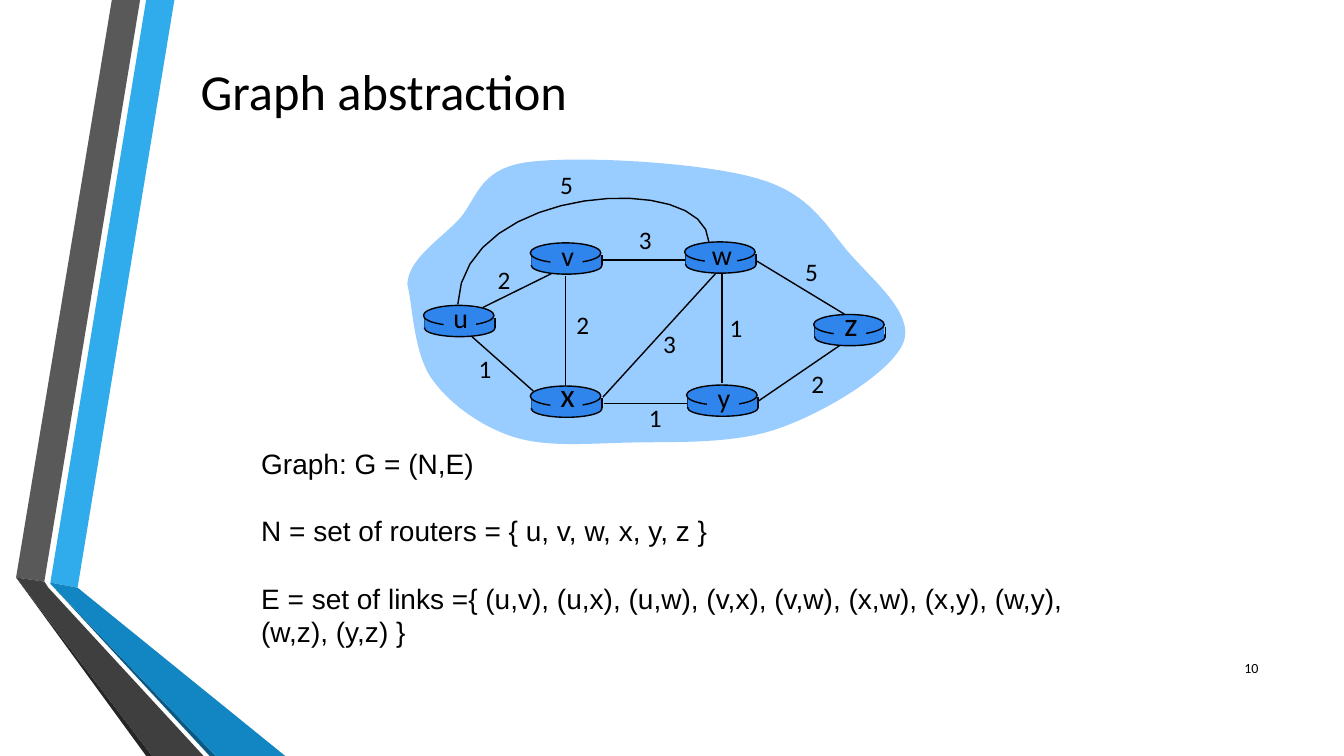
import pptx
import pptx.util
import pptx.dml.color
import pptx.enum.shapes
import pptx.enum.text
import pptx.oxml

CELL = pptx.util.Inches(0.1)
BLACK = pptx.dml.color.RGBColor(0x00, 0x00, 0x00)
CLOUD = pptx.dml.color.RGBColor(0x99, 0xCC, 0xFF)
ROUTER = pptx.dml.color.RGBColor(0x30, 0x85, 0xED)
SKY = pptx.dml.color.RGBColor(0x30, 0xAC, 0xEC)
OCEAN = pptx.dml.color.RGBColor(0x11, 0x86, 0xC3)
NAVY = pptx.dml.color.RGBColor(0x0B, 0x59, 0x82)
GREY = pptx.dml.color.RGBColor(0x59, 0x59, 0x59)
CHARCOAL = pptx.dml.color.RGBColor(0x3F, 0x3F, 0x3F)
COAL = pptx.dml.color.RGBColor(0x26, 0x26, 0x26)

OVAL = pptx.enum.shapes.MSO_SHAPE.OVAL
RECTANGLE = pptx.enum.shapes.MSO_SHAPE.RECTANGLE
ALIGN = pptx.enum.text.PP_ALIGN
ANCHOR = pptx.enum.text.MSO_ANCHOR

RIBBONS = [
    (SKY, [(5, 57.8), (7.7, 58.3), (17.3, 0), (14.5, 0)]),
    (GREY, [(13.9, 0), (11.1, 0), (1.6, 57.3), (4.4, 57.7)]),
    (COAL, [(1.6, 57.3), (14.5, 75), (15.1, 75)]),
    (NAVY, [(5, 57.9), (20.8, 75), (21.4, 75)]),
    (OCEAN, [(5, 57.9), (21.4, 75), (28.3, 75), (7.7, 58.3), (5, 57.8)]),
    (CHARCOAL, [(20.2, 75), (4.8, 58.3), (4.4, 57.7), (1.6, 57.3), (15.1, 75)]),
]
CLOUD_CURVE = [
    (40.4, 28.2), (40.5, 25.8), (43.3, 24), (45.3, 22), (47.3, 20), (47.3, 16.8),
    (52.2, 16.1), (57.2, 15.4), (69.7, 16.1), (75.1, 17.7), (80.5, 19.2), (82, 22.6),
    (84.4, 25.3), (86.8, 28), (90.7, 31.2), (89.6, 34), (88.4, 36.9), (82, 40.8),
    (77.5, 42.4), (73, 44.1), (67.1, 43.8), (62.6, 43.9), (58.2, 44), (54.1, 44.4),
    (50.8, 43.3), (47.5, 42.2), (44.4, 39.9), (42.7, 37.4), (41, 34.8), (40.9, 30.1),
    (40.4, 28.2),
]
ARC_CURVE = [(70.3, 24), (70.1, 16.9), (45.9, 18.2), (45.4, 30.2)]
LINKS = [
    (47.9, 30.5, 55.6, 26.7), (71.6, 27.2, 71.6, 38), (56.1, 27.4, 56.1, 38.4),
    (59.8, 39.4, 71.1, 27), (75.2, 39.8, 83.4, 34.2), (59.9, 40, 68.1, 40),
    (46.7, 33.3, 52.9, 38.8), (59.8, 25.8, 68, 25.8), (74.9, 25.8, 83.8, 31.2),
]
ROUTERS = [
    ("u", 42, 30.3, 20), ("x", 52.6, 38.3, 24), ("v", 52.6, 24.1, 20),
    ("w", 67.9, 24, 20), ("y", 68.1, 38.2, 20), ("z", 80.7, 31.2, 24),
]
COSTS = [
    ("2", 50, 27.7), ("2", 57.8, 32.2), ("1", 48.1, 36.6), ("3", 66.4, 34.1),
    ("1", 65, 41.4), ("1", 73, 32.5), ("2", 81.1, 38), ("5", 80.5, 26.9),
    ("3", 64, 23.8), ("5", 56.2, 18.3),
]
LIST = [
    "Graph: G = (N,E)",
    "N = set of routers = { u, v, w, x, y, z }",
    "E = set of links ={ (u,v), (u,x), (u,w), (v,x), (v,w), (x,w), (x,y), (w,y), (w,z), (y,z) }",
]


def grid(*cells):
    return [round(cell * CELL) for cell in cells]


def apply(target, values):
    for name, value in values.items():
        setattr(target, name, value)


def paint(shape, fill=None, outlined=False):
    shape.shadow.inherit = False
    if fill is None:
        shape.fill.background()
    else:
        shape.fill.solid()
        shape.fill.fore_color.rgb = fill
    if outlined:
        shape.line.color.rgb = BLACK
        shape.line.width = pptx.util.Pt(1)
    else:
        shape.line.fill.background()


def bezier(points, steps=16):
    curve = [points[0]]
    for start in range(0, len(points) - 1, 3):
        segment = points[start:start + 4]
        for step in range(1, steps + 1):
            t = step / steps
            weights = ((1 - t) ** 3, 3 * t * (1 - t) ** 2, 3 * t * t * (1 - t), t ** 3)
            curve.append(tuple(
                sum(weight * point[axis] for weight, point in zip(weights, segment))
                for axis in (0, 1)))
    return curve


def add_outline(shapes, points, fill=None):
    corners = [grid(*point) for point in points]
    builder = shapes.build_freeform(*corners[0])
    builder.add_line_segments(corners[1:], close=fill is not None)
    paint(builder.convert_to_shape(), fill, outlined=fill is None)


def add_preset(shapes, kind, cells, outlined=False):
    paint(shapes.add_shape(kind, *grid(*cells)), ROUTER, outlined)


def add_link(shapes, cells):
    straight = pptx.enum.shapes.MSO_CONNECTOR.STRAIGHT
    link = shapes.add_connector(straight, *grid(*cells))
    link.line.color.rgb = BLACK
    link.line.width = pptx.util.Pt(1)
    link._element.spPr.append(pptx.oxml.parse_xml(
        '<a:effectLst xmlns:a="http://schemas.openxmlformats.org/drawingml/2006/main"/>'))


def write(box, lines, size, align, anchor, font="Calibri", gap=0, side=0.1):
    frame = box.text_frame
    apply(frame, {
        "word_wrap": True,
        "auto_size": pptx.enum.text.MSO_AUTO_SIZE.NONE,
        "vertical_anchor": anchor,
        "margin_left": pptx.util.Inches(side),
        "margin_right": pptx.util.Inches(side),
        "margin_top": pptx.util.Inches(0.05),
        "margin_bottom": pptx.util.Inches(0.05),
    })
    for index, line in enumerate(lines):
        para = frame.paragraphs[0] if index == 0 else frame.add_paragraph()
        apply(para, {"alignment": align,
                     "space_before": pptx.util.Pt(gap if index else 0)})
        span = para.add_run()
        span.text = line
        apply(span.font, {"name": font, "size": pptx.util.Pt(size)})
        span.font.color.rgb = BLACK


def place(box, cells):
    apply(box, dict(zip(("left", "top", "width", "height"), grid(*cells))))


def add_label(shapes, text, center, middle, size):
    width, height = 4, size * 0.22
    box = shapes.add_textbox(*grid(center - width / 2, middle - height / 2, width, height))
    write(box, [text], size, ALIGN.CENTER, ANCHOR.MIDDLE, side=0)


def add_router(shapes, name, left, top, size):
    parts = shapes.add_group_shape().shapes
    add_preset(parts, OVAL, (left + 0.1, top + 1.4, 7, 1.7), outlined=True)
    for side in (left + 0.1, left + 7.1):
        add_link(parts, (side, top + 1.2, side, top + 2.2))
    add_preset(parts, RECTANGLE, (left + 0.1, top + 1.2, 6.9, 1))
    add_preset(parts, OVAL, (left, top, 7, 2), outlined=True)
    add_preset(parts, RECTANGLE, (left + 2, top + 0.2, 3.2, 2.7))
    add_label(parts, name, left + 3.7, top + (1.2 if size == 20 else 0.8), size)


def remove_bullets(box):
    for para in box.text_frame.paragraphs:
        properties = para._p.get_or_add_pPr()
        properties.set("marL", "0")
        properties.set("indent", "0")
        properties.append(pptx.oxml.parse_xml(
            '<a:buNone xmlns:a="http://schemas.openxmlformats.org/drawingml/2006/main"/>'))


def main():
    deck = pptx.Presentation()
    apply(deck, dict(zip(("slide_width", "slide_height"), grid(133.3, 75))))
    page = deck.slides.add_slide(deck.slide_layouts[1])
    shapes = page.shapes

    for color, points in RIBBONS:
        add_outline(shapes, points, color)
    add_outline(shapes, bezier(CLOUD_CURVE), CLOUD)
    for link in LINKS:
        add_link(shapes, link)
    add_outline(shapes, bezier(ARC_CURVE))
    for router in ROUTERS:
        add_router(shapes, *router)
    for cost, center, middle in COSTS:
        add_label(shapes, cost, center, middle, 18)

    place(shapes.title, (18.9, 5.4, 109.6, 7.1))
    write(shapes.title, ["Graph abstraction"], 36, ALIGN.LEFT, ANCHOR.MIDDLE)
    body = page.placeholders[1]
    place(body, (24.9, 43.8, 85.9, 24.6))
    write(body, LIST, 20, ALIGN.LEFT, ANCHOR.TOP, font="Arial", gap=24)
    remove_bullets(body)
    number = shapes.add_textbox(*grid(119.8, 64.3, 6, 4))
    write(number, ["10"], 10, ALIGN.RIGHT, ANCHOR.MIDDLE)

    deck.save("out.pptx")


main()
